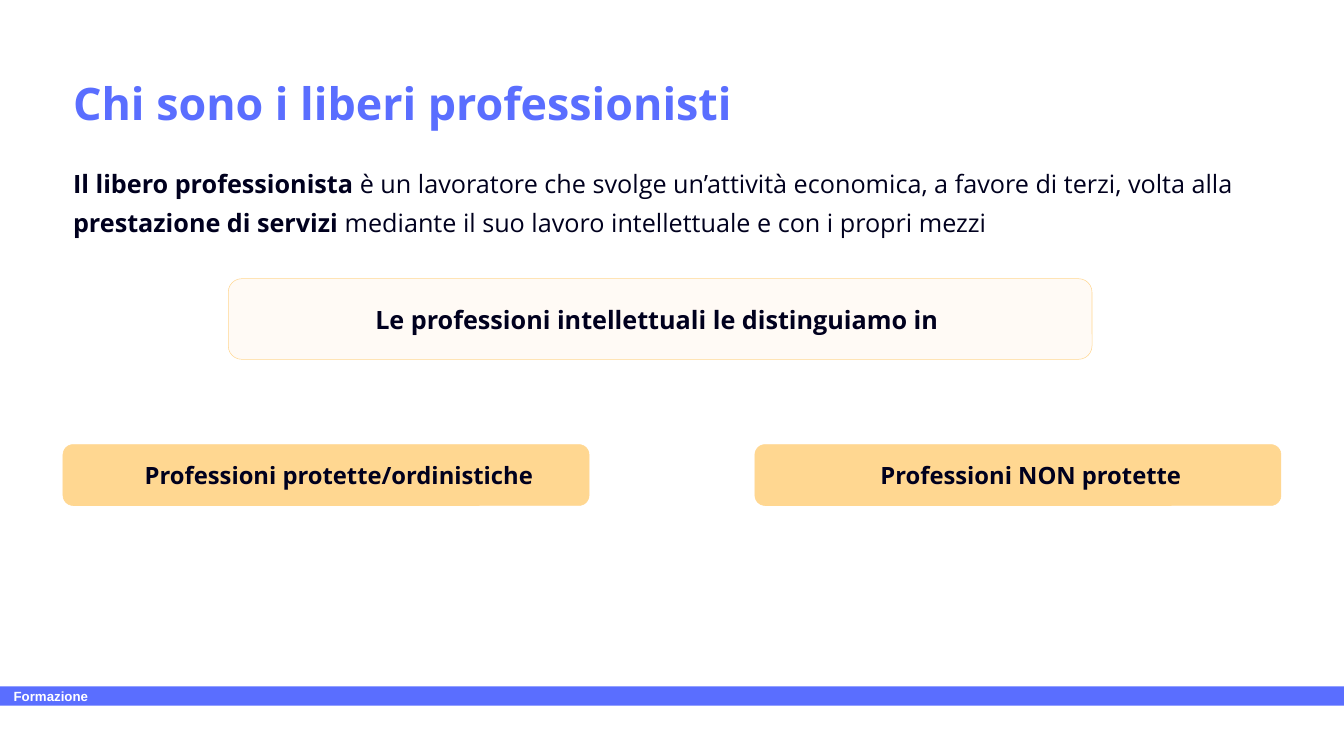
"""Build the slide that introduces liberal professionals."""
from dataclasses import dataclass

import pptx
import pptx.dml.color
import pptx.enum.shapes
import pptx.enum.text
import pptx.util
from pptx.util import Inches

Shape = pptx.enum.shapes.MSO_SHAPE
Align = pptx.enum.text.PP_ALIGN
Anchor = pptx.enum.text.MSO_ANCHOR


@dataclass(frozen=True)
class Theme:
    font: str = "Open Sans"
    footer_font: str = "Arial"
    blue: str = "5A6EFF"
    ink: str = "00001E"
    amber: str = "FFD791"
    cream: str = "FFFAF5"
    white: str = "FFFFFF"
    title_size: int = 64
    body_size: int = 36
    category_size: int = 34
    footer_size: int = 19


THEME = Theme()


@dataclass(frozen=True)
class Panel:
    text: str
    left: float
    top: float
    width: float
    height: float
    fill: str
    size: int
    outline: str | None = THEME.amber
    ink: str = THEME.ink
    font: str = THEME.font
    kind: Shape = Shape.FLOWCHART_ALTERNATE_PROCESS
    align: Align = Align.CENTER
    indent: float = 0


MARGIN = 1.25
CONTENT_WIDTH = 24.17
CATEGORY_WIDTH = 10.44
CATEGORY_LEFTS = (MARGIN, MARGIN + CONTENT_WIDTH - CATEGORY_WIDTH)
CATEGORIES = ("Professioni protette/ordinistiche", "Professioni NON protette")

PANELS = [
    Panel("Formazione", 0, 13.62, 26.67, 0.38, THEME.blue, THEME.footer_size,
          outline=None, ink=THEME.white, font=THEME.footer_font,
          kind=Shape.RECTANGLE, align=Align.LEFT),
    *(Panel(category, left, 8.82, CATEGORY_WIDTH, 1.21, THEME.amber,
            THEME.category_size, indent=0.51)
      for category, left in zip(CATEGORIES, CATEGORY_LEFTS)),
    Panel("Le professioni intellettuali le distinguiamo in ", 4.53, 5.53, 17.14, 1.6,
          THEME.cream, THEME.body_size),
]

DEFINITION = [
    ("Il libero professionista", True),
    (" è un lavoratore che svolge un’attività economica, a favore di terzi, volta alla ", False),
    ("prestazione di servizi", True),
    (" mediante il suo lavoro intellettuale e con i propri mezzi", False),
]


def rgb(value: str) -> pptx.dml.color.RGBColor:
    """Turn a hex string into a colour."""
    return pptx.dml.color.RGBColor.from_string(value)


def style(paragraph, size: int, colour: str, font: str = THEME.font,
          bold: bool | None = True) -> None:
    """Set the font of a whole paragraph."""
    paragraph.font.name = font
    paragraph.font.size = pptx.util.Pt(size)
    paragraph.font.bold = bold
    paragraph.font.color.rgb = rgb(colour)


def set_insets(frame, left: float, top: float, right: float, bottom: float) -> None:
    """Wrap a text frame and set its insets."""
    frame.word_wrap = True
    frame.margin_left, frame.margin_top = Inches(left), Inches(top)
    frame.margin_right, frame.margin_bottom = Inches(right), Inches(bottom)


def add_title(slide) -> None:
    """Place and format the slide title."""
    title = slide.shapes.title
    title.left, title.top = Inches(MARGIN), Inches(1.1)
    title.width, title.height = Inches(CONTENT_WIDTH), Inches(2)
    frame = title.text_frame
    set_insets(frame, 0.2, 0.1, 0.2, 0.1)
    frame.vertical_anchor = Anchor.MIDDLE
    frame.text = "Chi sono i liberi professionisti"
    heading = frame.paragraphs[0]
    heading.alignment = Align.LEFT
    heading.line_spacing = 0.9
    style(heading, THEME.title_size, THEME.blue)


def add_definition(slide) -> None:
    """Write the definition with its key terms in bold."""
    box = slide.shapes.add_textbox(Inches(MARGIN), Inches(3), Inches(CONTENT_WIDTH), Inches(10.38))
    set_insets(box.text_frame, 0.2, 0.15, 0.2, 0.1)
    definition = box.text_frame.paragraphs[0]
    definition.line_spacing = 1.31
    style(definition, THEME.body_size, THEME.ink, bold=None)
    for text, bold in DEFINITION:
        run = definition.add_run()
        run.text = text
        run.font.bold = bold


def add_panel(slide, panel: Panel) -> None:
    """Draw a filled panel with one line of text."""
    shape = slide.shapes.add_shape(panel.kind, Inches(panel.left), Inches(panel.top),
                                   Inches(panel.width), Inches(panel.height))
    shape.shadow.inherit = False
    shape.fill.solid()
    shape.fill.fore_color.rgb = rgb(panel.fill)
    if panel.outline:
        shape.line.color.rgb = rgb(panel.outline)
        shape.line.width = pptx.util.Pt(0.75)
    else:
        shape.line.fill.background()
    frame = shape.text_frame
    set_insets(frame, 0.27 + panel.indent, 0, 0.27, 0)
    frame.vertical_anchor = Anchor.MIDDLE
    frame.text = panel.text
    label = frame.paragraphs[0]
    label.alignment = panel.align
    style(label, panel.size, panel.ink, panel.font)


def main() -> None:
    """Assemble and save the presentation."""
    presentation = pptx.Presentation()
    presentation.slide_width, presentation.slide_height = Inches(26.67), Inches(15)
    slide = presentation.slides.add_slide(presentation.slide_layouts[5])
    add_title(slide)
    add_definition(slide)
    for panel in PANELS:
        add_panel(slide, panel)
    presentation.save("out.pptx")


if __name__ == "__main__":
    main()
